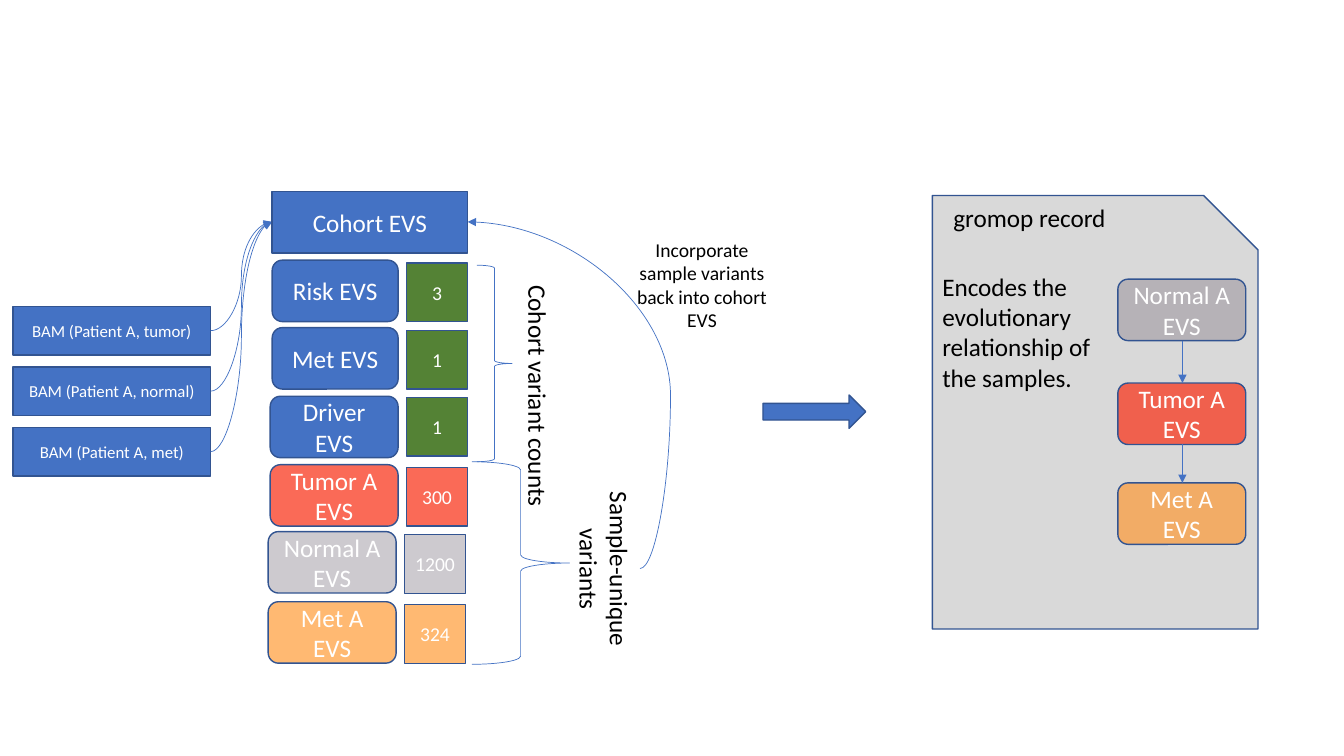
from lxml.etree import SubElement
from pptx import Presentation
from pptx.dml.color import RGBColor
from pptx.enum.shapes import MSO_CONNECTOR, MSO_SHAPE
from pptx.enum.text import MSO_ANCHOR, MSO_AUTO_SIZE, PP_ALIGN
from pptx.oxml.ns import qn
from pptx.util import Pt

COLORS = {
    "blue": "4472C4",
    "outline": "325491",
    "green": "548235",
    "red": "F9361D",
    "gray": "7E7581",
    "orange": "FF9830",
    "record": "D9D9D9",
    "white": "FFFFFF",
    "black": "000000",
}
OPACITY = {"red": 74, "gray": 38, "orange": 68}


class EvsPage:
    font = "Calibri"

    def __init__(self, deck):
        self.page = deck.slides.add_slide(deck.slide_layouts[6])

    def color(self, name):
        return RGBColor.from_string(COLORS[name])

    def set_text(self, frame, text, size, color, align):
        frame.text = text
        for para in frame.paragraphs:
            para.alignment = align
            for span in para.runs:
                span.font.name = self.font
                span.font.size = Pt(size)
                span.font.color.rgb = self.color(color)

    def shape(self, kind, left, top, width, height, fill=None, line="outline", weight=1):
        shape = self.page.shapes.add_shape(kind, Pt(left), Pt(top), Pt(width), Pt(height))
        shape.shadow.inherit = False
        shape.line.color.rgb = self.color(line)
        shape.line.width = Pt(weight)
        if fill is None:
            shape.fill.background()
            return shape
        shape.fill.solid()
        shape.fill.fore_color.rgb = self.color(fill)
        if fill in OPACITY:
            tint = shape._element.spPr.find(qn("a:solidFill"))[0]
            SubElement(tint, qn("a:alpha")).set("val", str(OPACITY[fill] * 1000))
        return shape

    def box(self, text, left, top, width, height, fill, size=18, kind=MSO_SHAPE.ROUNDED_RECTANGLE):
        shape = self.shape(kind, left, top, width, height, fill)
        frame = shape.text_frame
        frame.word_wrap = True
        frame.vertical_anchor = MSO_ANCHOR.MIDDLE
        self.set_text(frame, text, size, "white", PP_ALIGN.CENTER)

    def brace(self, left, top, width, height):
        self.shape(MSO_SHAPE.RIGHT_BRACE, left, top, width, height, line="blue", weight=0.5)

    def label(self, text, left, top, width, height, size=18, align=PP_ALIGN.LEFT, wrap=False, rotation=0):
        label = self.page.shapes.add_textbox(Pt(left), Pt(top), Pt(width), Pt(height))
        label.rotation = rotation
        label.text_frame.word_wrap = wrap
        label.text_frame.auto_size = MSO_AUTO_SIZE.SHAPE_TO_FIT_TEXT
        self.set_text(label.text_frame, text, size, "black", align)

    def arrow(self, start, end, kind=MSO_CONNECTOR.STRAIGHT, bend=None):
        points = [Pt(value) for value in (*start, *end)]
        arrow = self.page.shapes.add_connector(kind, *points)
        arrow.line.color.rgb = self.color("blue")
        arrow.line.width = Pt(0.5)
        properties = arrow._element.spPr
        SubElement(properties.find(qn("a:ln")), qn("a:tailEnd")).set("type", "triangle")
        SubElement(properties, qn("a:effectLst"))
        if bend is not None:
            guides = properties.find(qn("a:prstGeom")).find(qn("a:avLst"))
            guide = SubElement(guides, qn("a:gd"))
            guide.set("name", "adj1")
            guide.set("fmla", f"val {bend}")


def draw_inputs(page):
    for index, sample in enumerate(("tumor", "normal", "met")):
        top = 218.9 + 43.2 * index
        page.box(f"BAM (Patient A, {sample})", 9.4, top, 141.1, 34.6, "blue", 12, MSO_SHAPE.RECTANGLE)
        page.arrow((150.5, top + 17.3), (194.4, 158.5), MSO_CONNECTOR.CURVE)


def draw_cohort(page):
    page.box("Cohort EVS", 194.4, 136.8, 139.7, 43.9, "blue", kind=MSO_SHAPE.RECTANGLE)
    rows = [
        ("Risk EVS", "3", 194.4, 290.2, 185.8, 187.9, "blue", "green"),
        ("Met EVS", "1", 194.4, 290.2, 234, 236, "blue", "green"),
        ("Driver EVS", "1", 193, 290.2, 283, 283.8, "blue", "green"),
        ("Tumor A EVS", "300", 193, 290.2, 331.9, 334, "red", "red"),
        ("Normal A EVS", "1200", 191.6, 288.8, 379.7, 382, "gray", "gray"),
        ("Met A EVS", "324", 191.6, 288.8, 429.8, 432, "orange", "orange"),
    ]
    for name, count, left, count_left, top, count_top, fill, count_fill in rows:
        page.box(name, left, top, count_left - 5.8 - left, 43.9, fill)
        page.box(count, count_left, count_top, 43.9, 41.8, count_fill, 14, MSO_SHAPE.RECTANGLE)


def draw_variants(page):
    page.brace(340.6, 189.4, 25.2, 140.4)
    page.label("Cohort variant counts", 297.4, 269.3, 174.2, 28.8, rotation=90)
    page.brace(337, 329.8, 69.8, 144.7)
    page.label("Sample-unique\nvariants", 368.6, 380.9, 126, 51.1, align=PP_ALIGN.CENTER, rotation=90)
    page.arrow((457.2, 406.1), (334.1, 158.5), MSO_CONNECTOR.CURVE, -17700)
    page.label("Incorporate sample variants back into cohort EVS",
               447.8, 166.3, 107.3, 74.9, 14, PP_ALIGN.CENTER, True)


def draw_record(page):
    page.shape(MSO_SHAPE.RIGHT_ARROW, 545, 282.2, 73.4, 23.8, "blue")
    page.shape(MSO_SHAPE.SNIP_1_RECTANGLE, 666, 139.7, 232.6, 309.6, "record")
    page.label("gromop record", 673.9, 141.1, 124.6, 28.8)
    page.label("Encodes the evolutionary relationship of the samples.",
               666, 190.1, 124.6, 94.3, wrap=True)
    samples = [("Normal A EVS", 199.4, "gray"), ("Tumor A EVS", 273.6, "red"), ("Met A EVS", 344.9, "orange")]
    for name, top, fill in samples:
        page.box(name, 798.5, top, 91.4, 43.9, fill)
    for (_, top, _), (_, next_top, _) in zip(samples, samples[1:]):
        page.arrow((844.6, top + 43.9), (844.6, next_top))


def main():
    deck = Presentation()
    deck.slide_width, deck.slide_height = Pt(960), Pt(540)
    page = EvsPage(deck)
    draw_inputs(page)
    draw_cohort(page)
    draw_variants(page)
    draw_record(page)
    deck.save("out.pptx")


if __name__ == "__main__":
    main()
